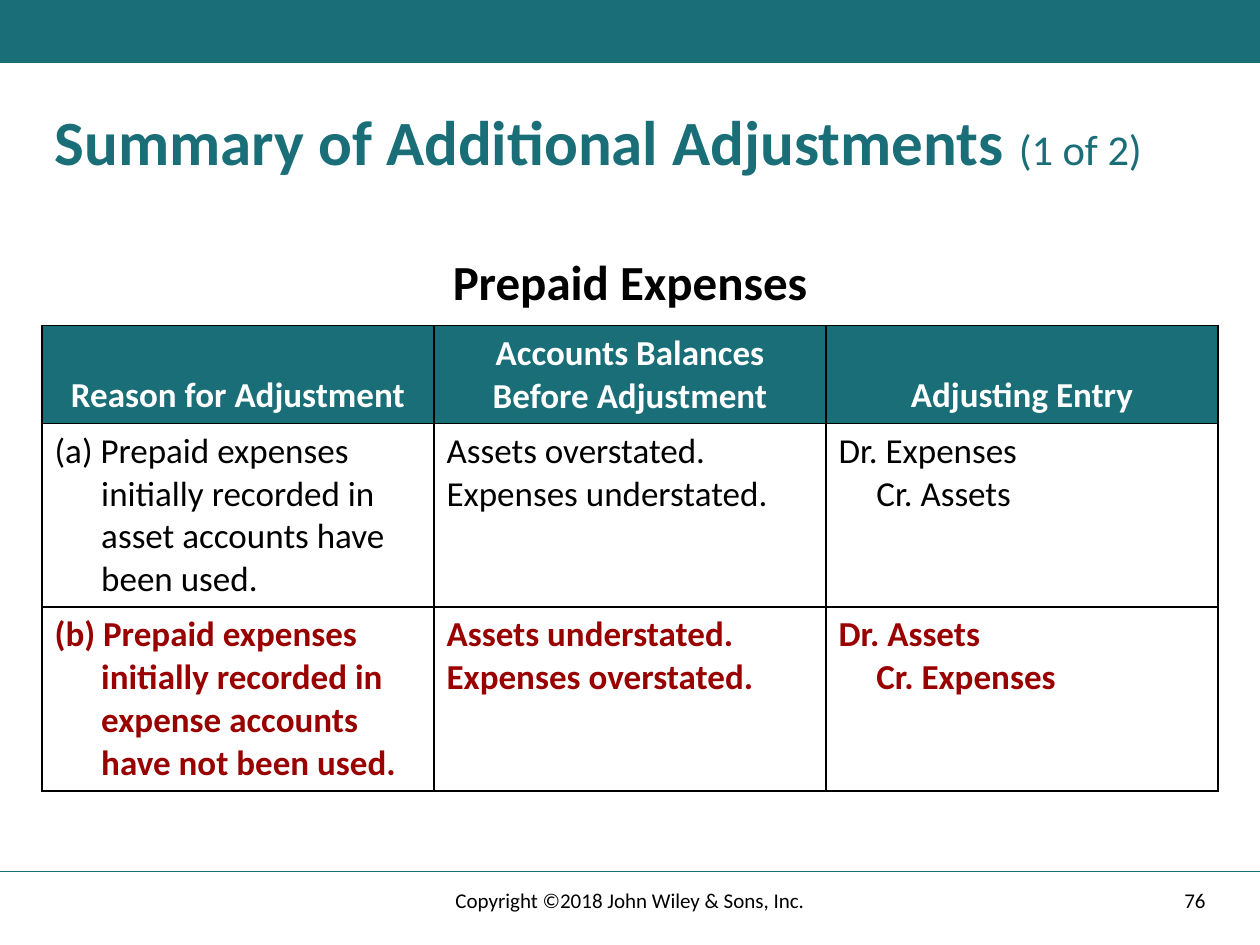
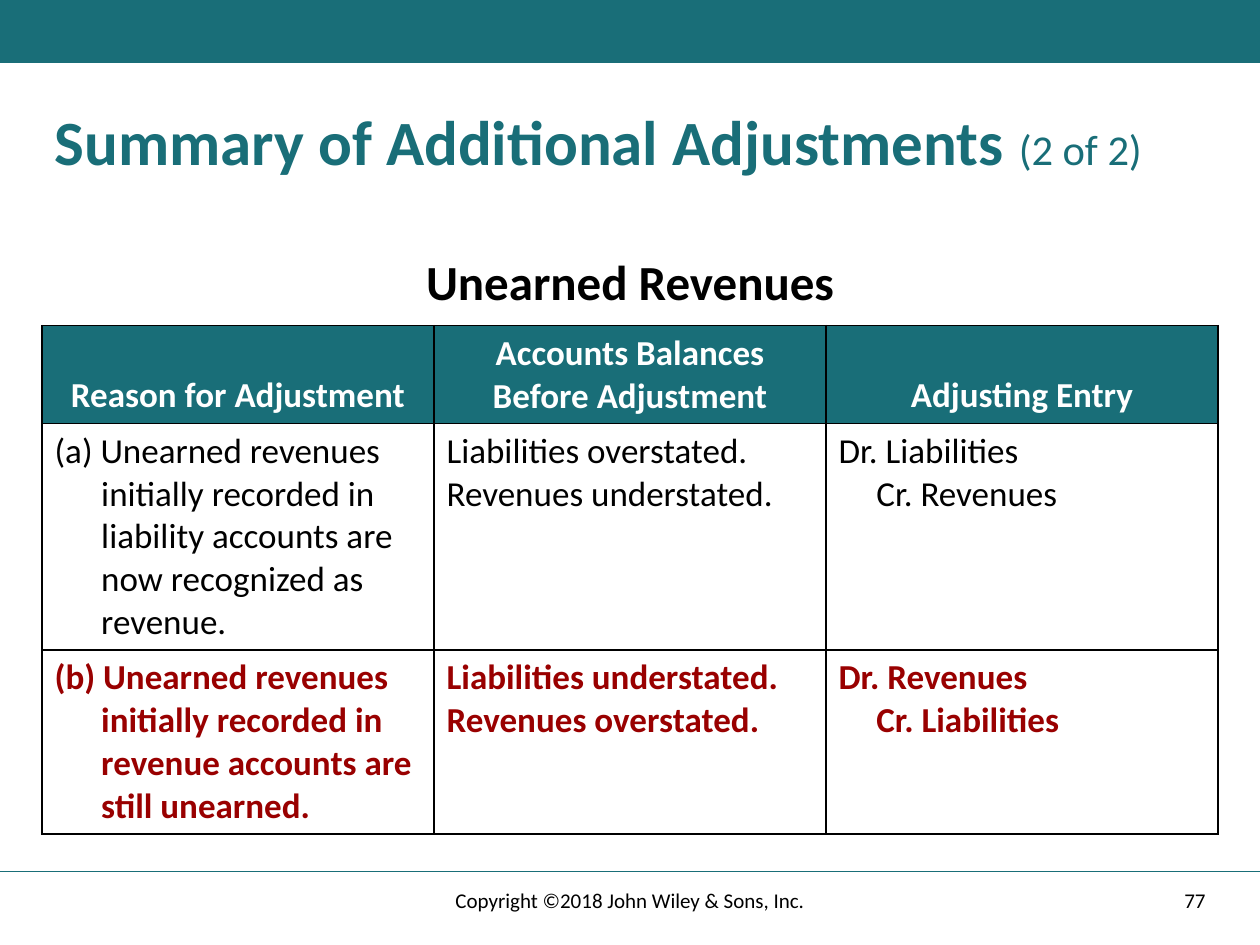
from dataclasses import dataclass

from lxml import etree
from pptx import Presentation
from pptx.dml.color import RGBColor
from pptx.enum.shapes import MSO_CONNECTOR, MSO_SHAPE
from pptx.enum.text import MSO_ANCHOR, MSO_AUTO_SIZE, PP_ALIGN
from pptx.oxml.ns import qn
from pptx.util import Pt

LEFT, CENTER, RIGHT = PP_ALIGN.LEFT, PP_ALIGN.CENTER, PP_ALIGN.RIGHT
TOP, MIDDLE, BOTTOM = MSO_ANCHOR.TOP, MSO_ANCHOR.MIDDLE, MSO_ANCHOR.BOTTOM
RECTANGLE, STRAIGHT = MSO_SHAPE.RECTANGLE, MSO_CONNECTOR.STRAIGHT
NO_FIT = MSO_AUTO_SIZE.NONE
TITLE_ONLY = 5


@dataclass(frozen=True)
class Theme:
    """Colours, font and type sizes shared by the slides."""
    teal: str = "196E78"
    black: str = "000000"
    white: str = "FFFFFF"
    red: str = "990000"
    font: str = "Calibri"
    title: float = 36
    counter: float = 24.3
    heading: float = 28
    table: float = 20
    footer: float = 12


THEME = Theme()
WIDTH, HEIGHT = 720, 540
MARGIN = 24
CONTENT_WIDTH = WIDTH - 2 * MARGIN
HANGING = (26.64, -26.64)
CREDIT_INDENT = (0, 21.6)
HEADERS = ["Reason for Adjustment", "Accounts Balances Before Adjustment", "Adjusting Entry"]

SLIDES = [
    {
        "counter": "(1 of 2)", "number": "76", "heading": "Prepaid Expenses",
        "line_counts": [2, 4, 4],
        "cases": [
            ("(a) Prepaid expenses initially recorded in asset accounts have been used.",
             ["Assets overstated.", "Expenses understated."],
             ["Dr. Expenses", "Cr. Assets"]),
            ("(b) Prepaid expenses initially recorded in expense accounts have not been used.",
             ["Assets understated.", "Expenses overstated."],
             ["Dr. Assets", "Cr. Expenses"]),
        ],
    },
    {
        "counter": "(2 of 2)", "number": "77", "heading": "Unearned Revenues",
        "line_counts": [2, 5, 4],
        "cases": [
            ("(a) Unearned revenues initially recorded in liability accounts are now recognized as revenue.",
             ["Liabilities overstated. Revenues understated."],
             ["Dr. Liabilities", "Cr. Revenues"]),
            ("(b) Unearned revenues initially recorded in revenue accounts are still unearned.",
             ["Liabilities understated.", "Revenues overstated."],
             ["Dr. Revenues", "Cr. Liabilities"]),
        ],
    },
]


def write(paragraph, text, size, color=THEME.black, bold=False, align=LEFT,
          spacing=None, indent=None):
    """Add a formatted run to a paragraph."""
    paragraph.alignment = align
    if spacing:
        paragraph.line_spacing = spacing
    if indent:
        margin, first_line = indent
        properties = paragraph._p.get_or_add_pPr()
        properties.set("marL", str(int(Pt(margin))))
        properties.set("indent", str(int(Pt(first_line))))
    run = paragraph.add_run()
    run.text = text
    run.font.name = THEME.font
    run.font.size = Pt(size)
    run.font.bold = bold
    run.font.color.rgb = RGBColor.from_string(color)


def add_text(slide, box, text, anchor=TOP, **text_format):
    """Add a wrapped text box holding one paragraph."""
    frame = slide.shapes.add_textbox(*map(Pt, box)).text_frame
    frame.word_wrap = True
    frame.vertical_anchor = anchor
    write(frame.paragraphs[0], text, **text_format)


def add_band(slide, box):
    """Draw the coloured band at the top of the slide."""
    band = slide.shapes.add_shape(RECTANGLE, *map(Pt, box))
    band.shadow.inherit = False
    band.fill.solid()
    band.fill.fore_color.rgb = RGBColor.from_string(THEME.teal)
    band.line.fill.background()


def add_title(slide, box, counter):
    """Place the title with its lighter counter."""
    title = slide.shapes.title
    title.left, title.top, title.width, title.height = map(Pt, box)
    frame = title.text_frame
    frame.word_wrap = True
    frame.auto_size = NO_FIT
    frame.vertical_anchor = TOP
    paragraph = frame.paragraphs[0]
    write(paragraph, "Summary of Additional Adjustments ", size=THEME.title,
          color=THEME.teal, bold=True, spacing=0.9)
    write(paragraph, counter, size=THEME.counter, color=THEME.teal, spacing=0.9)


def add_footer(slide, box, number):
    """Draw the footer rule, the copyright line and the slide number."""
    left, top, width, height = box
    rule = slide.shapes.add_connector(STRAIGHT, Pt(left), Pt(top), Pt(left + width), Pt(top))
    rule.line.color.rgb = RGBColor.from_string(THEME.teal)
    rule.line.width = Pt(1)
    etree.SubElement(rule._element.spPr, qn("a:effectLst"))
    text_box = (left + MARGIN, top + 2, width - 2 * MARGIN, height)
    number_width = 187
    number_box = (left + width - MARGIN - number_width, top + 2, number_width, height)
    add_text(slide, text_box, "Copyright ©2018 John Wiley & Sons, Inc.",
             anchor=MIDDLE, size=THEME.footer, align=CENTER)
    add_text(slide, number_box, number, anchor=MIDDLE, size=THEME.footer, align=RIGHT)


def add_borders(cell):
    """Give a cell a thin black line on every side."""
    properties = cell._tc.get_or_add_tcPr()
    for side in ("a:lnL", "a:lnR", "a:lnT", "a:lnB"):
        line = etree.SubElement(properties, qn(side), w=str(int(Pt(1))))
        fill = etree.SubElement(line, qn("a:solidFill"))
        etree.SubElement(fill, qn("a:srgbClr"), val=THEME.black)


def fill_cell(cell, lines, fill=THEME.white, anchor=TOP, indents=(), **text_format):
    """Style a cell and write one paragraph for each line."""
    add_borders(cell)
    cell.fill.solid()
    cell.fill.fore_color.rgb = RGBColor.from_string(fill)
    cell.vertical_anchor = anchor
    frame = cell.text_frame
    for index, line in enumerate(lines):
        paragraph = frame.add_paragraph() if index else frame.paragraphs[0]
        indent = indents[index] if indents else None
        write(paragraph, line, size=THEME.table, indent=indent, **text_format)


def add_adjustment_table(slide, box, cases, line_counts):
    """Build the table of reasons, balances and entries."""
    left, top, width = box
    heights = [24.5 * count + 7 for count in line_counts]
    table = slide.shapes.add_table(len(heights), len(HEADERS), Pt(left), Pt(top),
                                   Pt(width), Pt(sum(heights))).table
    for row, height in zip(table.rows, heights):
        row.height = Pt(height)
    for column, header in enumerate(HEADERS):
        table.columns[column].width = Pt(width / len(HEADERS))
        fill_cell(table.cell(0, column), [header], fill=THEME.teal, anchor=BOTTOM,
                  color=THEME.white, bold=True, align=CENTER)
    styles = [{"color": THEME.black}, {"color": THEME.red, "bold": True}]
    for row, (case, style) in enumerate(zip(cases, styles), start=1):
        reason, balances, entry = case
        fill_cell(table.cell(row, 0), [reason], indents=[HANGING], **style)
        fill_cell(table.cell(row, 1), balances, **style)
        fill_cell(table.cell(row, 2), entry, indents=[None, CREDIT_INDENT], **style)


def add_summary_slide(presentation, content):
    """Add one summary slide with all its regions."""
    slide = presentation.slides.add_slide(presentation.slide_layouts[TITLE_ONLY])
    add_band(slide, (0, 0, WIDTH, 36))
    add_title(slide, (MARGIN, 60, CONTENT_WIDTH, 54), content["counter"])
    add_text(slide, (230, 144, 260, 33), content["heading"], size=THEME.heading,
             bold=True, align=CENTER, spacing=0.9)
    add_adjustment_table(slide, (MARGIN, 186, CONTENT_WIDTH),
                         content["cases"], content["line_counts"])
    add_footer(slide, (0, 498, WIDTH, 29), content["number"])


def main():
    """Build and save the presentation."""
    presentation = Presentation()
    presentation.slide_width, presentation.slide_height = Pt(WIDTH), Pt(HEIGHT)
    for content in SLIDES:
        add_summary_slide(presentation, content)
    presentation.save("out.pptx")


if __name__ == "__main__":
    main()
